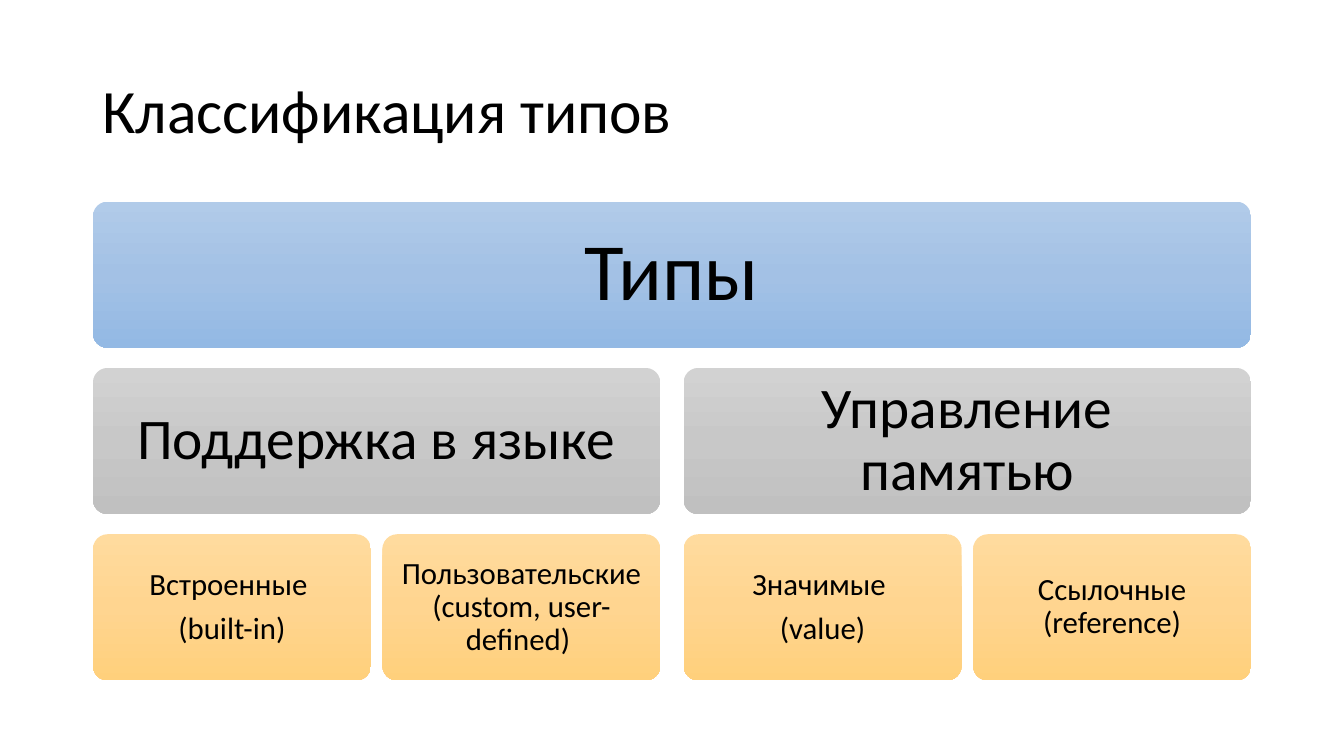
from copy import deepcopy

from pptx import Presentation
from pptx.dml.color import RGBColor
from pptx.enum.shapes import MSO_SHAPE
from pptx.enum.text import MSO_ANCHOR, MSO_AUTO_SIZE, PP_ALIGN
from pptx.oxml.ns import qn
from pptx.util import Pt

BLACK = RGBColor(0x00, 0x00, 0x00)
BLUES = (RGBColor(0xB1, 0xCB, 0xE9), RGBColor(0xA3, 0xC1, 0xE5), RGBColor(0x93, 0xB9, 0xE4))
GRAYS = (RGBColor(0xD2, 0xD2, 0xD2), RGBColor(0xC8, 0xC8, 0xC8), RGBColor(0xC0, 0xC0, 0xC0))
ORANGES = (RGBColor(0xFF, 0xDB, 0x9E), RGBColor(0xFF, 0xD5, 0x90), RGBColor(0xFF, 0xD0, 0x7C))

# Hierarchy geometry, in points
LEFT, TOP, WIDTH = 66.4, 144, 827.2
ROW_HEIGHT, ROW_STEP = 104.4, 118.8
LEAF_GAP, GROUP_GAP = 8.3, 16.6
GROUP_WIDTH = (WIDTH - GROUP_GAP) / 2
LEAF_WIDTH = (GROUP_WIDTH - LEAF_GAP) / 2

GROUPS = [
    ("Поддержка в языке",
     ["Встроенные \n(built-in)", "Пользовательские (custom, user-defined) "]),
    ("Управление памятью",
     ["Значимые \n(value)", "Ссылочные (reference)"]),
]


class SlideBuilder:
    font = "Calibri"
    line_spacing = 0.9

    def __init__(self, slide):
        self.slide = slide

    def set_text(self, frame, text, size, align, inset, space_after=0):
        frame.text = text
        frame.word_wrap = True
        frame.auto_size = MSO_AUTO_SIZE.NONE
        frame.vertical_anchor = MSO_ANCHOR.MIDDLE
        frame.margin_left = frame.margin_right = Pt(inset[0])
        frame.margin_top = frame.margin_bottom = Pt(inset[1])
        for para in frame.paragraphs:
            para.alignment = align
            para.line_spacing = self.line_spacing
            para.space_after = Pt(space_after)
            for span in para.runs:
                span.font.name = self.font
                span.font.size = Pt(size)
                span.font.color.rgb = BLACK

    def title(self, text):
        box = self.slide.shapes.title
        box.left, box.top, box.width, box.height = Pt(66), Pt(28.75), Pt(828), Pt(104.4)
        self.set_text(box.text_frame, text, 44, PP_ALIGN.LEFT, (7.2, 3.6))

    def gradient(self, box, colors):
        box.fill.gradient()
        box.fill.gradient_angle = 270
        stop_list = box._element.spPr.find(qn("a:gradFill")).find(qn("a:gsLst"))
        stop_list.insert(1, deepcopy(stop_list[0]))
        for index, (stop, color) in enumerate(zip(box.fill.gradient_stops, colors)):
            stop.position = index / 2
            stop.color.rgb = color

    def block(self, text, left, row, width, size, inset, colors):
        box = self.slide.shapes.add_shape(
            MSO_SHAPE.ROUNDED_RECTANGLE,
            Pt(left), Pt(TOP + row * ROW_STEP), Pt(width), Pt(ROW_HEIGHT))
        box.adjustments[0] = 0.1
        box.shadow.inherit = False
        box.line.fill.background()
        self.gradient(box, colors)
        self.set_text(box.text_frame, text, size, PP_ALIGN.CENTER, (inset, inset), 0.35 * size)


def main():
    deck = Presentation()
    deck.slide_width, deck.slide_height = Pt(960), Pt(540)
    page = SlideBuilder(deck.slides.add_slide(deck.slide_layouts[5]))
    page.title("Классификация типов")

    # Root block
    page.block("Типы", LEFT, 0, WIDTH, 58, 20.4, BLUES)

    # Groups with their leaves
    for group_index, (group, leaves) in enumerate(GROUPS):
        group_left = LEFT + group_index * (GROUP_WIDTH + GROUP_GAP)
        page.block(group, group_left, 1, GROUP_WIDTH, 41, 15.3, GRAYS)
        for leaf_index, leaf in enumerate(leaves):
            leaf_left = group_left + leaf_index * (LEAF_WIDTH + LEAF_GAP)
            page.block(leaf, leaf_left, 2, LEAF_WIDTH, 22, 9.5, ORANGES)

    deck.save("out.pptx")


if __name__ == "__main__":
    main()
